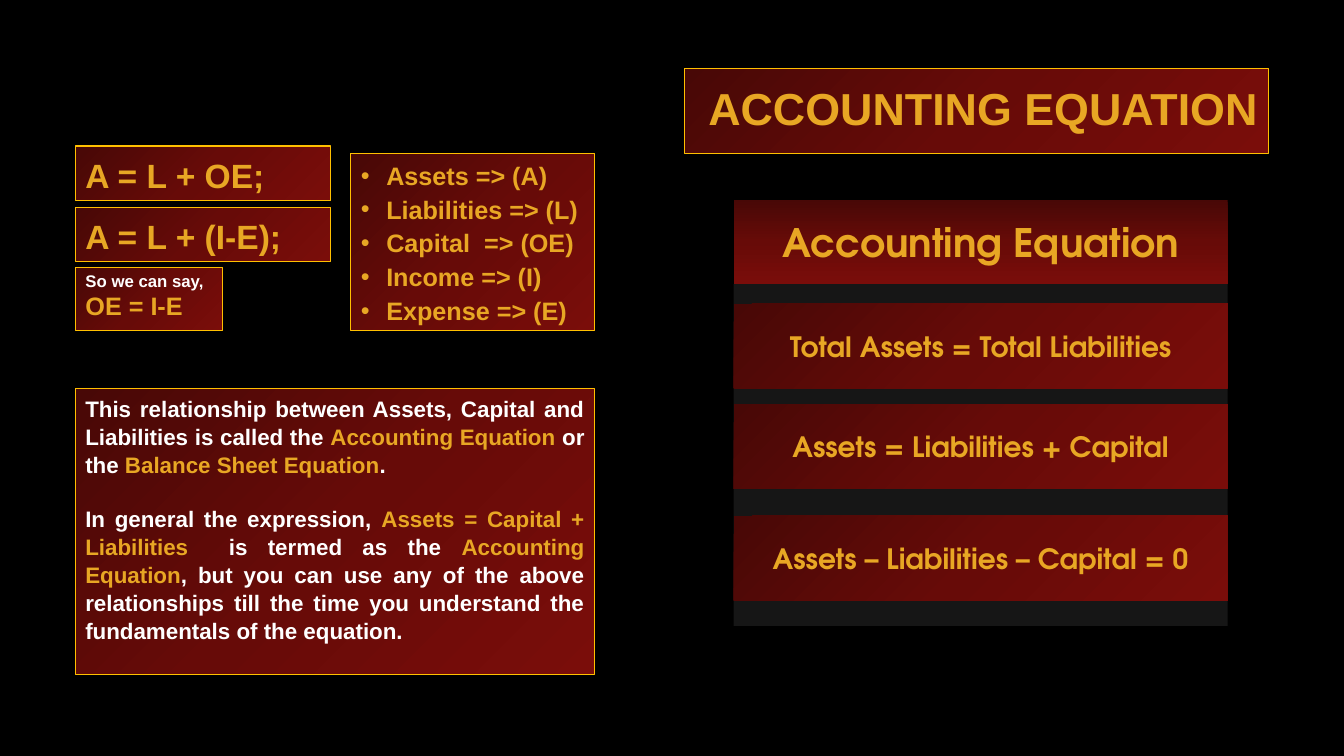
"""Build the accounting equation slide."""
from copy import deepcopy

from lxml.etree import SubElement
from pptx import Presentation
from pptx.dml.color import RGBColor
from pptx.enum.shapes import MSO_SHAPE
from pptx.enum.text import MSO_ANCHOR, MSO_AUTO_SIZE, PP_ALIGN
from pptx.oxml.ns import qn
from pptx.util import Cm, Pt

COLOURS = {"black": "000000", "panel": "161616", "gold": "E8A724",
           "white": "FFFFFF", "border": "FFC000"}
GRADIENT = [(0, "480806"), (0.5, "670B08"), (1, "7A0D0A")]

TITLE = "ACCOUNTING EQUATION"
FORMULAS = ["A = L + OE;", "A = L + (I-E);"]
CONCLUSION = [[("So we can say,", "white", 12)], [("OE = I-E", "gold", 18)]]
TERMS = ["Assets => (A)", "Liabilities => (L)", "Capital  => (OE)",
         "Income => (I)", "Expense => (E)"]
EXPLANATION = [
    [("This relationship between Assets, Capital and Liabilities is called the ", "white", 16),
     ("Accounting Equation", "gold", 16),
     (" or the ", "white", 16),
     ("Balance Sheet Equation", "gold", 16),
     (".", "white", 16)],
    [("In general the expression, ", "white", 16),
     ("Assets = Capital + Liabilities  ", "gold", 16),
     ("is termed as the ", "white", 16),
     ("Accounting Equation", "gold", 16),
     (", but you can use any of the above relationships till the time you "
      "understand the fundamentals of the equation.", "white", 16)],
]
BANDS = [
    ("Accounting Equation", 5.03, 28, 90),
    ("Total Assets = Total Liabilities", 7.65, 20, 45),
    ("Assets = Liabilities + Capital", 10.19, 20, 45),
    ("Assets – Liabilities – Capital = 0", 13.0, 20, 45),
]

LEFT = 1.9
FORMULA_TOP, FORMULA_STEP = 3.68, 1.55
BAND_LEFT, BAND_WIDTH, BAND_HEIGHT = 18.49, 12.45, 2.13


def colour(name):
    return RGBColor.from_string(COLOURS[name])


def place(box, left, top, width, height):
    box.left, box.top, box.width, box.height = map(Cm, (left, top, width, height))
    return box


def add_box(page, *frame):
    box = page.shapes.add_shape(MSO_SHAPE.RECTANGLE, *map(Cm, frame))
    box.shadow.inherit = False
    box.line.fill.background()
    return box


def paint(box, angle=45, border=True):
    box.fill.gradient()
    stops = box._element.spPr.find(qn("a:gradFill")).find(qn("a:gsLst"))
    stops.insert(1, deepcopy(stops[0]))
    for stop, (position, tint) in zip(box.fill.gradient_stops, GRADIENT):
        stop.position = position
        stop.color.rgb = RGBColor.from_string(tint)
    box.fill.gradient_angle = 360 - angle
    if border:
        box.line.color.rgb = colour("border")
        box.line.width = Pt(0.75)


def write(box, paragraphs, size=18, font="Arial", align=PP_ALIGN.LEFT,
          anchor=MSO_ANCHOR.TOP, spacing=1.0, before=0, gap=0, bullet=None):
    frame = box.text_frame
    frame.word_wrap = True
    frame.auto_size = MSO_AUTO_SIZE.NONE
    frame.vertical_anchor = anchor
    for number, content in enumerate(paragraphs):
        para = frame.add_paragraph() if number else frame.paragraphs[0]
        para.alignment = align
        para.line_spacing = spacing
        para.space_before = Pt(before + (gap if number else 0))
        para.space_after = Pt(0)
        properties = para._p.get_or_add_pPr()
        indent = Cm(0.64) if bullet else 0
        properties.set("marL", str(indent))
        properties.set("indent", str(-indent))
        if bullet:
            SubElement(properties, qn("a:buChar")).set("char", bullet)
        else:
            SubElement(properties, qn("a:buNone"))
        spans = [(content, "gold", size)] if isinstance(content, str) else content
        for text, tint, points in spans:
            span = para.add_run()
            span.text = text
            span.font.name = font
            span.font.size = Pt(points)
            span.font.bold = True
            span.font.color.rgb = colour(tint)


def main():
    deck = Presentation()
    deck.slide_width, deck.slide_height = Cm(33.87), Cm(19.05)
    page = deck.slides.add_slide(deck.slide_layouts.get_by_name("Two Content"))
    page.background.fill.solid()
    page.background.fill.fore_color.rgb = colour("black")

    title = place(page.shapes.title, 17.25, 1.73, 14.71, 2.13)
    paint(title)
    write(title, [TITLE], size=32, align=PP_ALIGN.RIGHT,
          anchor=MSO_ANCHOR.MIDDLE, spacing=0.9)

    conclusion = place(page.placeholders[1], LEFT, 6.73, 3.71, 1.6)
    paint(conclusion)
    write(conclusion, CONCLUSION, spacing=0.97)

    terms = place(page.placeholders[2], 8.84, 3.86, 6.15, 4.48)
    paint(terms)
    write(terms, TERMS, align=PP_ALIGN.JUSTIFY, spacing=1.07, before=1, bullet="•")

    explanation = add_box(page, LEFT, 9.8, 13.08, 7.19)
    paint(explanation)
    write(explanation, EXPLANATION, align=PP_ALIGN.JUSTIFY, spacing=1.04, gap=19.2)

    panel = add_box(page, BAND_LEFT, 7.16, BAND_WIDTH, 8.61)
    panel.fill.solid()
    panel.fill.fore_color.rgb = colour("panel")
    for text, top, size, angle in BANDS:
        band = add_box(page, BAND_LEFT, top, BAND_WIDTH, BAND_HEIGHT)
        paint(band, angle=angle, border=False)
        write(band, [text], size=size, font="TeX Gyre Adventor",
              align=PP_ALIGN.CENTER, anchor=MSO_ANCHOR.MIDDLE)

    for number, text in enumerate(FORMULAS):
        formula = add_box(page, LEFT, FORMULA_TOP + number * FORMULA_STEP, 6.43, 1.37)
        paint(formula)
        write(formula, [text], size=24, anchor=MSO_ANCHOR.MIDDLE, spacing=1.07)

    deck.save("out.pptx")


if __name__ == "__main__":
    main()
